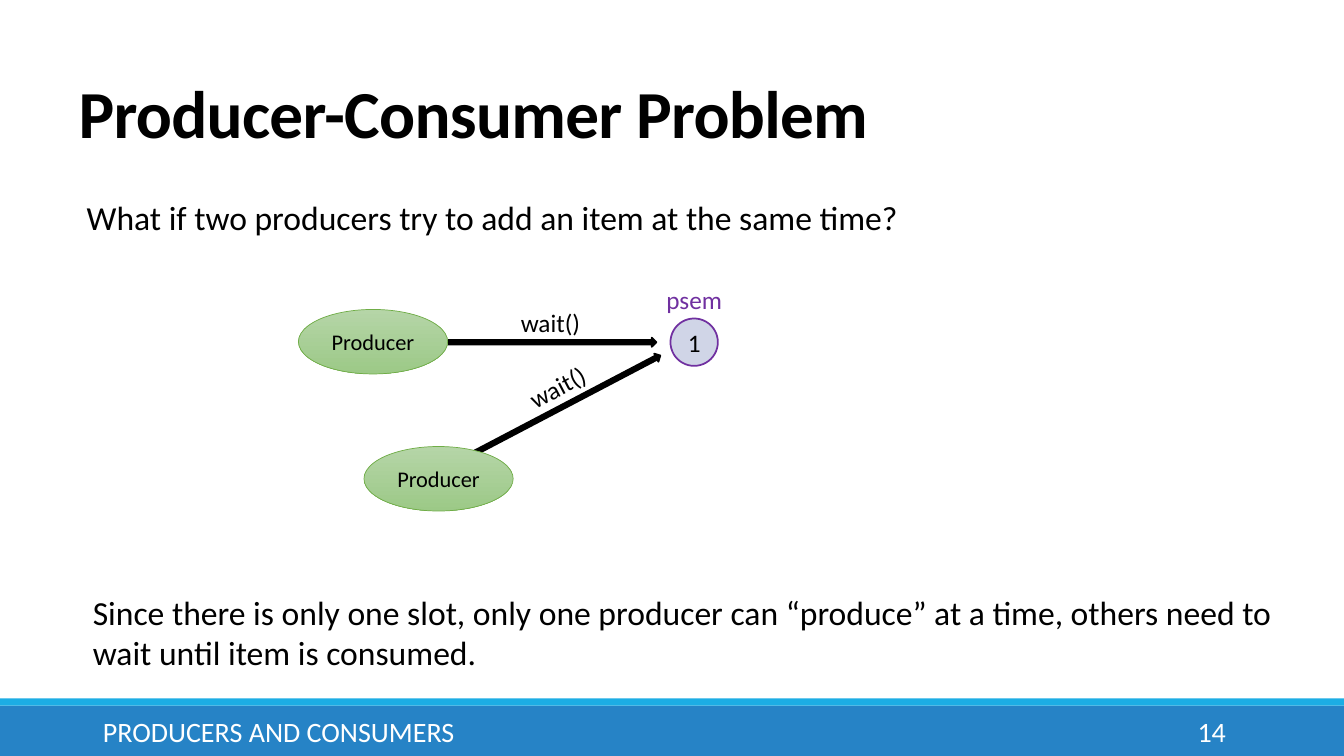
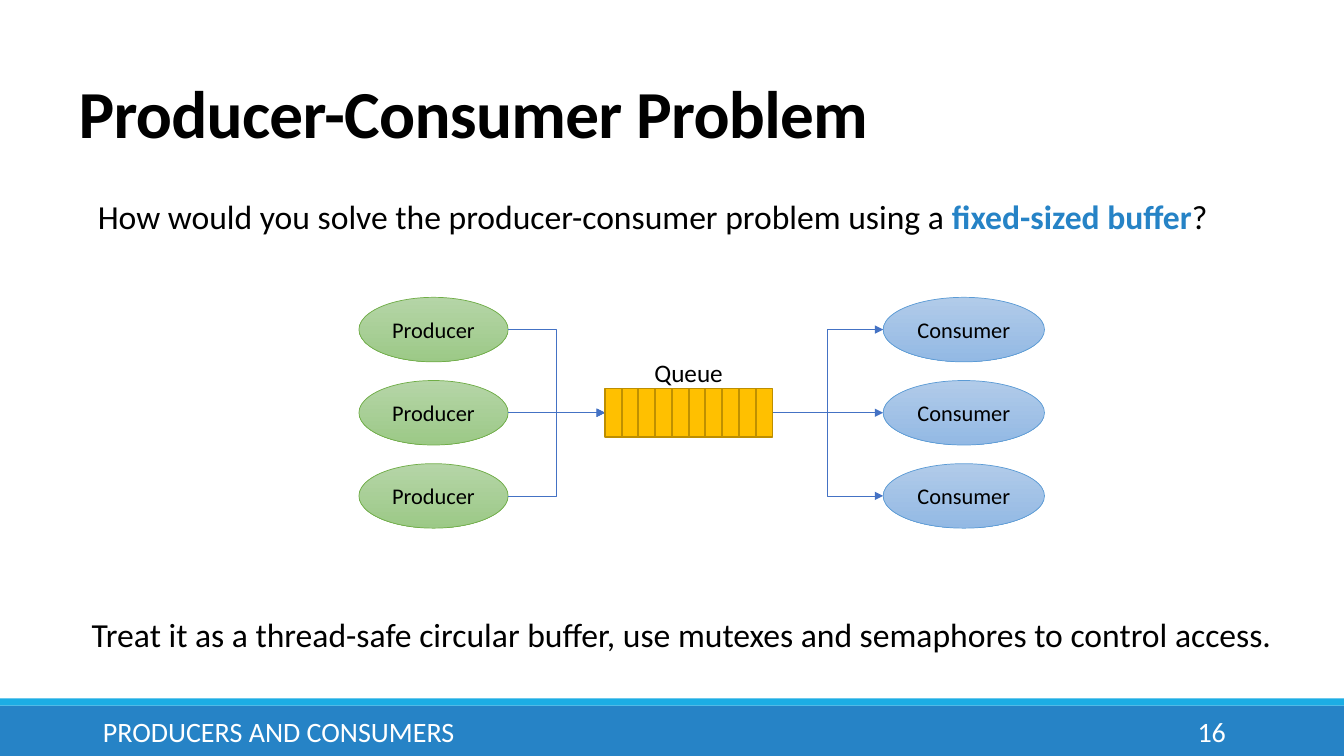
from dataclasses import dataclass
from math import cos, radians, sin

from lxml.etree import SubElement
from pptx import Presentation
from pptx.dml.color import RGBColor
from pptx.enum.shapes import MSO_CONNECTOR, MSO_SHAPE
from pptx.enum.text import MSO_ANCHOR, MSO_AUTO_SIZE, PP_ALIGN
from pptx.oxml.ns import qn
from pptx.util import Inches, Pt


@dataclass(frozen=True)
class Theme:
    font: str = "Calibri"
    title_size: float = 48
    body_size: float = 24
    footer_size: float = 20
    label_size: float = 18
    node_size: float = 16
    black: str = "000000"
    white: str = "FFFFFF"
    band: str = "2683C6"
    stripe: str = "1CADE4"
    semaphore_fill: str = "D0D5E7"
    semaphore_line: str = "7030A0"
    flow_line: str = "4472C4"
    queue_fill: str = "FFC000"
    queue_line: str = "BD8E00"
    divider: str = "BF9000"
    producer: tuple = ("B5D5A7", "9CC987", "70AD47")
    consumer: tuple = ("B1CBE9", "93B9E4", "5B9BD5")


@dataclass(frozen=True)
class Box:
    left: float
    top: float
    width: float
    height: float

    @property
    def right(self):
        return self.left + self.width

    @property
    def middle(self):
        return self.top + self.height / 2

    @property
    def center(self):
        return self.left + self.width / 2

    def inches(self):
        return [Inches(n) for n in (self.left, self.top, self.width, self.height)]


THEME = Theme()
SLIDE = Box(0, 0, 13.33, 7.5)
TITLE = Box(0.68, 0.71, 11, 0.85)
BAND = Box(0, 7, SLIDE.width, 0.5)
PRODUCER_WIDTH, CONSUMER_WIDTH, NODE_HEIGHT = 1.48, 1.6, 0.64


def rgb(color):
    return RGBColor.from_string(color)


def style_paragraph(para, size, color, align=PP_ALIGN.LEFT):
    para.alignment = align
    para.font.name = THEME.font
    para.font.size = Pt(size)
    para.font.color.rgb = rgb(color)


def clear_margins(frame):
    frame.margin_left = frame.margin_right = 0
    frame.margin_top = frame.margin_bottom = Inches(0.05)


def add_text(page, box, spans, size, color=THEME.black, align=PP_ALIGN.LEFT,
             anchor=MSO_ANCHOR.TOP):
    shape = page.shapes.add_textbox(*box.inches())
    frame = shape.text_frame
    frame.word_wrap = True
    frame.vertical_anchor = anchor
    clear_margins(frame)
    para = frame.paragraphs[0]
    style_paragraph(para, size, color, align)
    for text, highlighted in spans:
        span = para.add_run()
        span.text = text
        if highlighted:
            span.font.bold = True
            span.font.color.rgb = rgb(THEME.band)
    return shape


def add_label(page, box, text, color=THEME.black):
    return add_text(page, box, [(text, False)], THEME.label_size, color,
                    PP_ALIGN.CENTER)


def add_filled(page, kind, box, fill, line=None, weight=1.25):
    shape = page.shapes.add_shape(kind, *box.inches())
    shape.shadow.inherit = False
    if isinstance(fill, tuple):
        shape.fill.gradient()
        shape.fill.gradient_angle = 270
        for stop, color in zip(shape.fill.gradient_stops, fill):
            stop.color.rgb = rgb(color)
    else:
        shape.fill.solid()
        shape.fill.fore_color.rgb = rgb(fill)
    if line:
        shape.line.color.rgb = rgb(line)
        shape.line.width = Pt(weight)
    else:
        shape.line.fill.background()
    return shape


def add_line(page, start, end, color, weight, arrow=False):
    level = abs(start[1] - end[1]) < 0.01
    straight = level or start[0] == end[0]
    kind = MSO_CONNECTOR.STRAIGHT if straight else MSO_CONNECTOR.ELBOW
    line = page.shapes.add_connector(kind, *[Inches(n) for n in start + end])
    line.line.color.rgb = rgb(color)
    line.line.width = Pt(weight)
    if arrow:
        SubElement(line.line._get_or_add_ln(), qn("a:tailEnd"), type="triangle")
    SubElement(line._element.spPr, qn("a:effectLst"))


def add_ellipse(page, box, text, size, fill, line, weight):
    shape = add_filled(page, MSO_SHAPE.OVAL, box, fill, line, weight)
    frame = shape.text_frame
    frame.vertical_anchor = MSO_ANCHOR.MIDDLE
    clear_margins(frame)
    para = frame.paragraphs[0]
    para.text = text
    style_paragraph(para, size, THEME.black, PP_ALIGN.CENTER)


def add_node(page, box, text, colors):
    add_ellipse(page, box, text, THEME.node_size, colors[:2], colors[2], 0.5)


def add_wait_arrow(page, box, angle):
    arrow = add_filled(page, MSO_SHAPE.RIGHT_ARROW, box, THEME.black, THEME.black)
    arrow.rotation = angle
    offset = 0.2
    center = box.center + offset * sin(radians(angle))
    middle = box.middle - offset * cos(radians(angle))
    label = add_label(page, Box(center - 0.4, middle - 0.2, 0.8, 0.4), "wait()")
    label.rotation = angle


def add_semaphore(page, box, name, value):
    add_ellipse(page, box, value, THEME.label_size, THEME.semaphore_fill,
                THEME.semaphore_line, 1.25)
    add_label(page, Box(box.center - 0.5, box.top - 0.39, 1, 0.4), name,
              THEME.semaphore_line)


def add_race(page, box):
    add_wait_arrow(page, Box(box.left + 1.61, box.top + 0.9, 2.1, 0.09), 332.3)
    add_wait_arrow(page, Box(box.left + 1.45, box.top + 0.28, 2.1, 0.09), 0)
    for left, top in ((0, 0), (0.65, 1.36)):
        node = Box(box.left + left, box.top + top, PRODUCER_WIDTH, NODE_HEIGHT)
        add_node(page, node, "Producer", THEME.producer)
    add_semaphore(page, Box(box.right - 0.47, box.top + 0.09, 0.47, 0.47),
                  "psem", "1")


def add_queue(page, box, cells=10):
    add_filled(page, MSO_SHAPE.RECTANGLE, box, THEME.queue_fill, THEME.queue_line, 1)
    for cell in range(1, cells):
        x = box.left + cell * box.width / cells
        add_line(page, (x, box.top), (x, box.top + box.height), THEME.divider, 1.5)
    add_label(page, Box(box.center - 0.5, box.top - 0.36, 1, 0.4), "Queue")


def add_buffer_flow(page, box, rows=3):
    queue = Box(box.left + 2.44, box.middle - 0.24, 1.66, 0.48)
    pitch = (box.height - NODE_HEIGHT) / (rows - 1)
    for row in range(rows):
        top = box.top + row * pitch
        producer = Box(box.left, top, PRODUCER_WIDTH, NODE_HEIGHT)
        consumer = Box(box.right - CONSUMER_WIDTH, top, CONSUMER_WIDTH, NODE_HEIGHT)
        add_node(page, producer, "Producer", THEME.producer)
        add_node(page, consumer, "Consumer", THEME.consumer)
        add_line(page, (producer.right, producer.middle), (queue.left, queue.middle),
                 THEME.flow_line, 0.5, True)
        add_line(page, (queue.right, queue.middle), (consumer.left, consumer.middle),
                 THEME.flow_line, 0.5, True)
    add_queue(page, queue)


def add_title(page, text):
    title = page.shapes.title
    title.left, title.top, title.width, title.height = TITLE.inches()
    frame = title.text_frame
    frame.auto_size = MSO_AUTO_SIZE.NONE
    frame.word_wrap = True
    frame.vertical_anchor = MSO_ANCHOR.BOTTOM
    para = frame.paragraphs[0]
    span = para.add_run()
    span.text = text
    span._r.get_or_add_rPr().set("spc", "-50")
    para.line_spacing = 0.85
    style_paragraph(para, THEME.title_size, THEME.black)
    para.font.bold = True


def add_footer(page, box, number):
    add_filled(page, MSO_SHAPE.RECTANGLE, box, THEME.band)
    stripe = Box(box.left, box.top - 0.07, box.width, 0.07)
    add_filled(page, MSO_SHAPE.RECTANGLE, stripe, THEME.stripe)
    for left, width, text, align in (
        (1.02, 8.19, "PRODUCERS AND CONSUMERS", PP_ALIGN.LEFT),
        (10.93, 1.23, number, PP_ALIGN.RIGHT),
    ):
        add_text(page, Box(box.left + left, box.top + 0.06, width, 0.4),
                 [(text, False)], THEME.footer_size, THEME.white, align,
                 MSO_ANCHOR.MIDDLE)


def add_page(deck, number):
    page = deck.slides.add_slide(deck.slide_layouts[5])
    add_footer(page, BAND, number)
    add_title(page, "Producer-Consumer Problem")
    return page


def add_race_page(deck):
    page = add_page(deck, "14")
    add_text(page, Box(0.86, 1.9, 11, 0.5),
             [("What if two producers try to add an item at the same time?", False)],
             THEME.body_size)
    add_race(page, Box(2.96, 3.07, 4.16, 2))
    add_text(page, Box(0.92, 5.82, 11.82, 0.91),
             [("Since there is only one slot, only one producer can “produce” at a "
               "time, others need to wait until item is consumed.", False)],
             THEME.body_size)


def add_buffer_page(deck):
    page = add_page(deck, "16")
    add_text(page, Box(0.97, 1.89, 11.8, 0.5),
             [("How would you solve the producer-consumer problem using a ", False),
              ("fixed-sized buffer", True), ("?", False)], THEME.body_size)
    add_buffer_flow(page, Box(3.56, 2.95, 6.8, 2.29))
    add_text(page, Box(0.91, 6.04, 12.2, 0.5),
             [("Treat it as a thread-safe circular buffer, use mutexes and "
               "semaphores to control access.", False)], THEME.body_size)


def main():
    deck = Presentation()
    deck.slide_width = Inches(SLIDE.width)
    deck.slide_height = Inches(SLIDE.height)
    add_race_page(deck)
    add_buffer_page(deck)
    deck.save("out.pptx")


if __name__ == "__main__":
    main()
